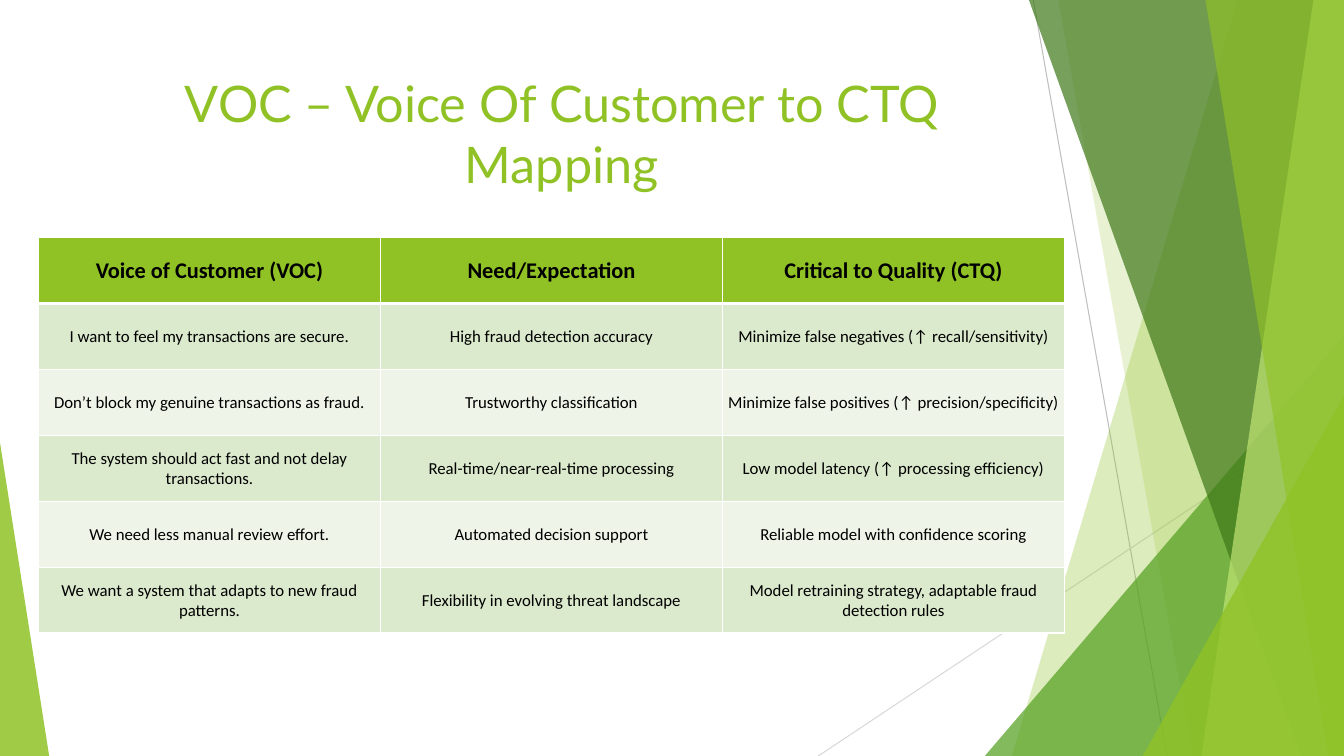
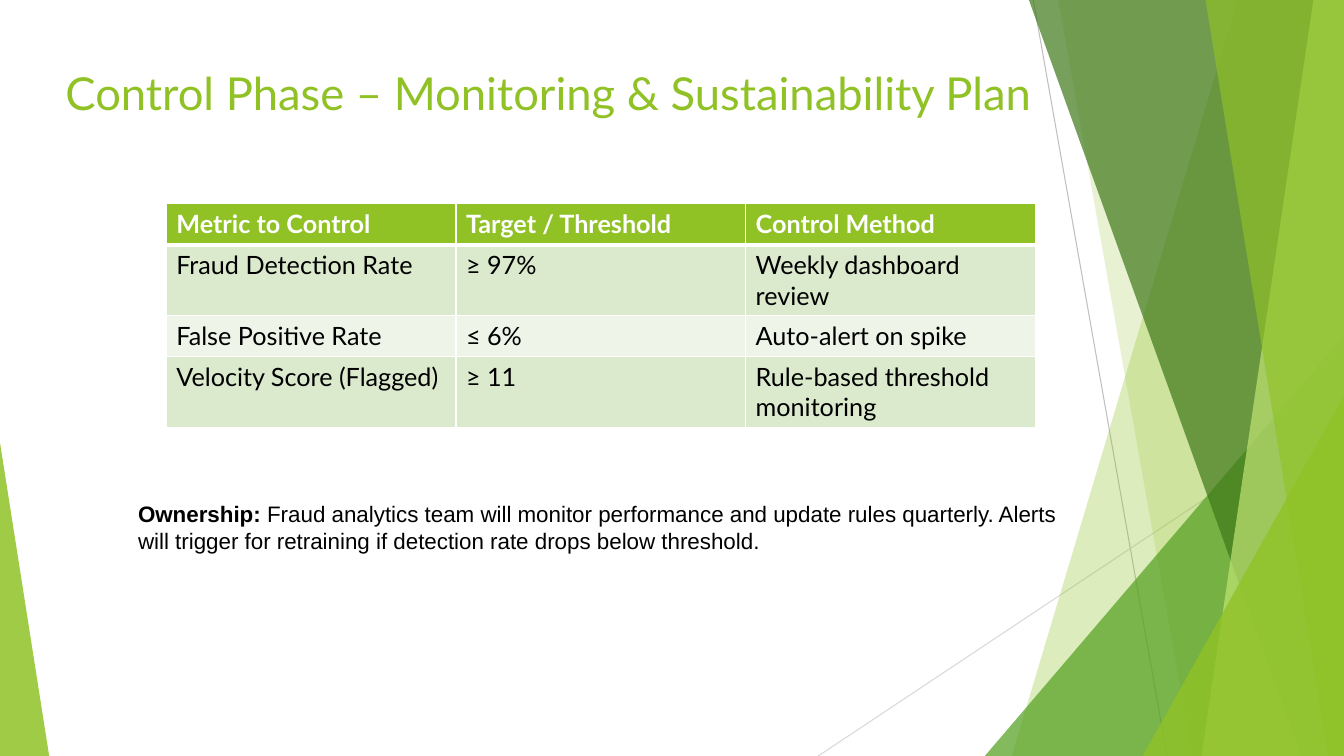
import lxml.etree
import pptx
import pptx.dml.color
import pptx.enum.shapes
import pptx.enum.text
import pptx.oxml.ns
import pptx.util

Cm = pptx.util.Cm
Pt = pptx.util.Pt
RGBColor = pptx.dml.color.RGBColor
MSO_SHAPE = pptx.enum.shapes.MSO_SHAPE
MSO_CONNECTOR = pptx.enum.shapes.MSO_CONNECTOR
PP_ALIGN = pptx.enum.text.PP_ALIGN
MSO_ANCHOR = pptx.enum.text.MSO_ANCHOR
qn = pptx.oxml.ns.qn

WIDTH, HEIGHT = 33.87, 19.05

LIME = RGBColor(0x90, 0xC2, 0x26)
PALE_LIME = RGBColor(0xC0, 0xE4, 0x74)
GREEN = RGBColor(0x54, 0xA0, 0x21)
DARK_GREEN = RGBColor(0x3F, 0x78, 0x19)
ROW_ODD = RGBColor(0xDB, 0xE9, 0xCD)
ROW_EVEN = RGBColor(0xEE, 0xF4, 0xE8)
GREY = RGBColor(0xBF, 0xBF, 0xBF)
LIGHT_GREY = RGBColor(0xD9, 0xD9, 0xD9)
BLACK = RGBColor(0, 0, 0)
WHITE = RGBColor(0xFF, 0xFF, 0xFF)

VOC_ROWS = [
    ("Voice of Customer (VOC)", "Need/Expectation", "Critical to Quality (CTQ)"),
    ("I want to feel my transactions are secure.", "High fraud detection accuracy",
     "Minimize false negatives (↑ recall/sensitivity)"),
    ("Don’t block my genuine transactions as fraud.", "Trustworthy classification",
     "Minimize false positives (↑ precision/specificity)"),
    ("The system should act fast and not delay transactions.",
     "Real-time/near-real-time processing",
     "Low model latency (↑ processing efficiency)"),
    ("We need less manual review effort.", "Automated decision support",
     "Reliable model with confidence scoring"),
    ("We want a system that adapts to new fraud patterns.",
     "Flexibility in evolving threat landscape",
     "Model retraining strategy, adaptable fraud detection rules"),
]
CONTROL_ROWS = [
    ("Metric to Control", "Target / Threshold", "Control Method"),
    ("Fraud Detection Rate", "≥ 97%", "Weekly dashboard review"),
    ("False Positive Rate", "≤ 6%", "Auto-alert on spike"),
    ("Velocity Score (Flagged)", "≥ 11", "Rule-based threshold monitoring"),
]


def set_all(obj, values):
    for name, value in values.items():
        setattr(obj, name, value)


def add_run(p, text, color, font):
    r = p.add_run()
    r.text = text
    set_all(r.font, font)
    r.font.color.rgb = color


def add_line(s, x1, y1, x2, y2, color):
    line = s.shapes.add_connector(MSO_CONNECTOR.STRAIGHT, Cm(x1), Cm(y1), Cm(x2), Cm(y2))
    line.line.color.rgb = color
    line.line.width = Pt(0.75)
    lxml.etree.SubElement(line.element.spPr, qn("a:effectLst"))


def paint(sp, color, opacity):
    """Fill with a see-through colour, without outline or shadow."""
    sp.shadow.inherit = False
    sp.line.fill.background()
    sp.fill.solid()
    sp.fill.fore_color.rgb = color
    clr = next(sp.element.iter(qn("a:srgbClr")))
    lxml.etree.SubElement(clr, qn("a:alpha"), val=str(opacity * 1000))


def add_band(s, top_x, bottom_x, color, opacity):
    """Full-height band from a slanted left edge to the right slide edge."""
    builder = s.shapes.build_freeform(Cm(top_x), 0)
    corners = [(WIDTH, 0), (WIDTH, HEIGHT), (bottom_x, HEIGHT)]
    builder.add_line_segments([(Cm(x), Cm(y)) for x, y in corners])
    paint(builder.convert_to_shape(), color, opacity)


def add_corner(s, x, y, width, apex, color, opacity):
    """Triangle standing on the bottom edge of the slide."""
    sp = s.shapes.add_shape(MSO_SHAPE.ISOSCELES_TRIANGLE,
                            Cm(x), Cm(y), Cm(width), Cm(HEIGHT - y))
    sp.adjustments[0] = apex
    paint(sp, color, opacity)


def add_backdrop(s):
    add_line(s, 26.04, 0, 29.41, HEIGHT, GREY)
    add_line(s, WIDTH, 10.24, 20.62, HEIGHT, LIGHT_GREY)
    add_band(s, 31.19, 25.5, LIME, 30)
    add_band(s, 26.67, 30.05, LIME, 20)
    add_corner(s, 24.82, 8.46, 9.05, 1, GREEN, 72)
    add_band(s, 25.93, 32.79, DARK_GREEN, 70)
    add_band(s, 33.1, 30.28, PALE_LIME, 70)
    add_band(s, 30.38, 33.48, LIME, 65)
    add_corner(s, 28.8, 9.98, 5.07, 1, LIME, 80)
    add_corner(s, 0, 11.15, 1.24, 0, LIME, 85)


def add_text(s, x, y, width, height, runs, align=PP_ALIGN.LEFT):
    tf = s.shapes.add_textbox(Cm(x), Cm(y), Cm(width), Cm(height)).text_frame
    tf.word_wrap = True
    p = tf.paragraphs[0]
    p.alignment = align
    for run in runs:
        add_run(p, *run)


def add_title(s, x, y, width, height, text, size, align=PP_ALIGN.LEFT):
    font = {"name": "Lato", "size": Pt(size)}
    add_text(s, x, y, width, height, [(text, LIME, font)], align)


def set_borders(cell, **widths):
    """White borders, 1 pt unless a side (L, R, T, B) is given a width."""
    tcPr = cell._tc.get_or_add_tcPr()
    for side in "LRTB":
        ln = lxml.etree.SubElement(tcPr, qn("a:ln" + side), w=str(Pt(widths.get(side, 1))))
        fill = lxml.etree.SubElement(ln, qn("a:solidFill"))
        lxml.etree.SubElement(fill, qn("a:srgbClr"), val=str(WHITE))


def add_table(s, x, y, col_width, row_heights, rows, head_color, head_font, body_font,
              cell_format, align=PP_ALIGN.LEFT):
    cols = len(rows[0])
    table = s.shapes.add_table(len(rows), cols, Cm(x), Cm(y), Cm(col_width * cols),
                               Cm(sum(row_heights))).table
    for col in table.columns:
        col.width = Cm(col_width)
    for i, texts in enumerate(rows):
        table.rows[i].height = Cm(row_heights[i])
        head = i == 0
        for j, text in enumerate(texts):
            cell = table.cell(i, j)
            set_all(cell, cell_format)
            set_borders(cell, T=3 if i == 1 else 1, B=3 if head else 1)
            cell.fill.solid()
            cell.fill.fore_color.rgb = LIME if head else ROW_ODD if i % 2 else ROW_EVEN
            p = cell.text_frame.paragraphs[0]
            p.alignment = align
            add_run(p, text, head_color if head else BLACK,
                    {**(head_font if head else body_font), "bold": head})


def add_voc_slide(s):
    add_title(s, 1.88, 1.7, 24.56, 3.66, "VOC – Voice Of Customer to CTQ Mapping", 36,
              PP_ALIGN.CENTER)
    cell_format = {"vertical_anchor": MSO_ANCHOR.MIDDLE, "margin_left": Cm(0.03),
                   "margin_top": Cm(0.03), "margin_right": Cm(0.03), "margin_bottom": 0}
    add_table(s, 0.97, 5.99, 8.62, [1.66] * len(VOC_ROWS), VOC_ROWS, BLACK,
              {"name": "Calibri", "size": Pt(16)}, {"name": "Calibri", "size": Pt(12)},
              cell_format, PP_ALIGN.CENTER)


def add_control_slide(s):
    add_title(s, 1.4, 1.52, 29.21, 2.13, "Control Phase – Monitoring & Sustainability Plan",
              32.4)
    font = {"name": "Lato", "size": Pt(18)}
    add_table(s, 4.19, 5.13, 7.3, [1.04, 1.78, 1.04, 1.78], CONTROL_ROWS, WHITE, font, font,
              {"vertical_anchor": MSO_ANCHOR.TOP})
    note = {"name": "Arial", "size": Pt(16)}
    add_text(s, 3.23, 12.47, 23.8, 2.39, [
        ("Ownership: ", BLACK, {**note, "bold": True}),
        ("Fraud analytics team will monitor performance and update rules quarterly. "
         "Alerts will trigger for retraining if detection rate drops below threshold.",
         BLACK, note),
    ])


def main():
    prs = pptx.Presentation()
    prs.slide_width, prs.slide_height = Cm(WIDTH), Cm(HEIGHT)
    for fill_slide in (add_voc_slide, add_control_slide):
        s = prs.slides.add_slide(prs.slide_layouts[6])
        add_backdrop(s)
        fill_slide(s)
    prs.save("out.pptx")


if __name__ == "__main__":
    main()
